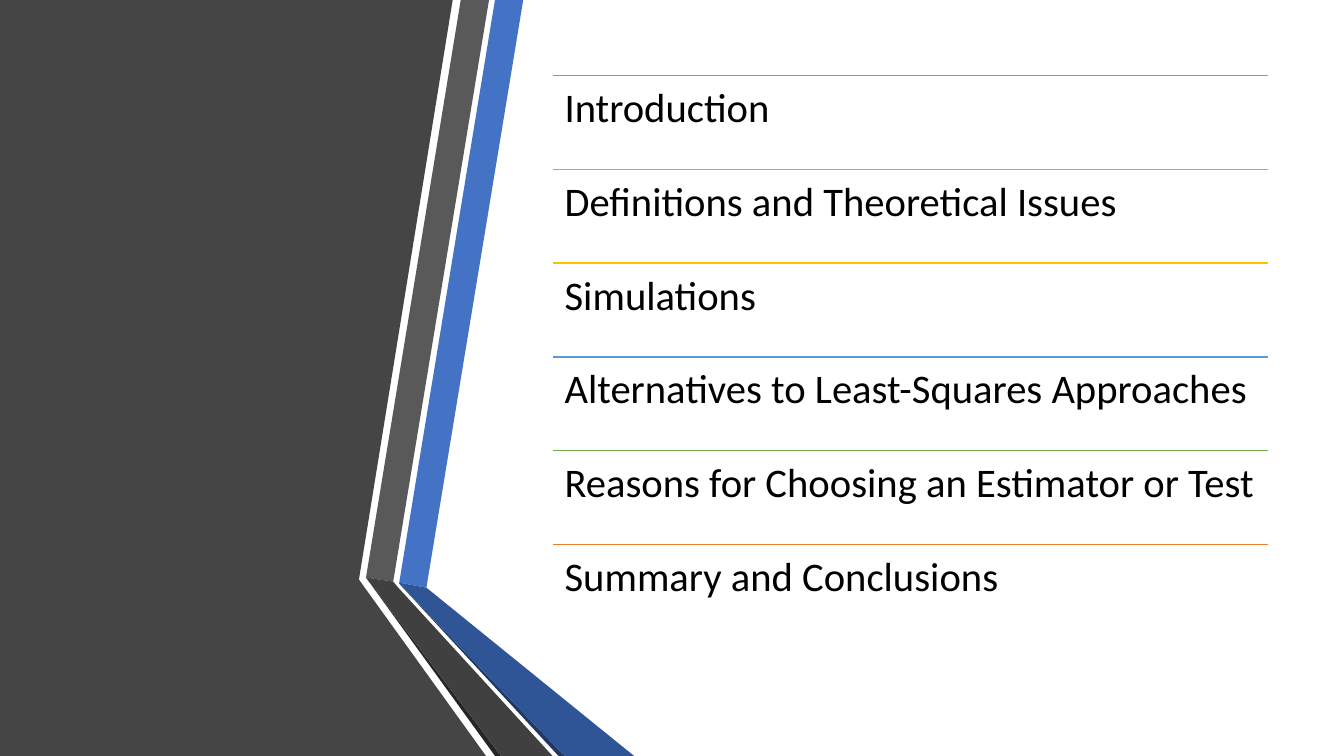
"""Build the outline slide: a folded ribbon on the left, six ruled topics on the right."""
from pptx import Presentation
from pptx.dml.color import RGBColor as RGB
from pptx.enum.shapes import MSO_CONNECTOR as LINE
from pptx.enum.text import MSO_ANCHOR as ANCHOR
from pptx.oxml.ns import qn
from pptx.util import Pt
from lxml.etree import SubElement as sub

PX = 9144


def paint(fmt, color):
    fmt.solid()
    fmt.fore_color.rgb = RGB.from_string(color)


deck = Presentation()
deck.slide_width, deck.slide_height = 1333 * PX, 750 * PX
slide = deck.slides.add_slide(deck.slide_layouts[6])
shapes = slide.shapes
paint(slide.background.fill, "FFFFFF")

bands = [
    ("454545", [(0, 0), (449, 0), (356, 575), (482, 750), (0, 750)]),
    ("4472C4", [(396, 578), (423, 583), (519, 0), (491, 0)]),
    ("595959", [(485, 0), (457, 0), (363, 573), (390, 577)]),
    ("262626", [(363, 573), (491, 750), (497, 750)]),
    ("203864", [(396, 579), (554, 750), (560, 750)]),
    ("2F5597", [(396, 578), (396, 579), (560, 750), (629, 750), (423, 583)]),
    ("404040", [(363, 573), (497, 750), (548, 750), (395, 583), (390, 577)]),
]
for color, points in bands:
    pen = shapes.build_freeform(*points[0], scale=PX)
    pen.add_line_segments(points[1:], close=True)
    band = pen.convert_to_shape()
    band.shadow.inherit = False
    paint(band.fill, color)
    band.line.fill.background()

topics = [
    ("Introduction", "ED7D31"),
    ("Definitions and Theoretical Issues", "A5A5A5"),
    ("Simulations", "FFC000"),
    ("Alternatives to Least-Squares Approaches", "5B9BD5"),
    ("Reasons for Choosing an Estimator or Test", "70AD47"),
    ("Summary and Conclusions", "ED7D31"),
]
left, top, width, pitch, inset = 548, 75, 710, 93, 12 * PX
frame_style = {
    "word_wrap": True, "vertical_anchor": ANCHOR.TOP,
    "margin_left": inset, "margin_top": inset,
    "margin_right": inset, "margin_bottom": inset,
}
font_style = {"name": "Calibri", "size": Pt(29)}

for row, (topic, color) in enumerate(topics):
    y = (top + row * pitch) * PX
    rule = shapes.add_connector(LINE.STRAIGHT, left * PX, y, (left + width) * PX, y)
    paint(rule.line.fill, color)
    rule.line.width = Pt(1)
    sub(rule._element.spPr, qn("a:effectLst"))

    frame = shapes.add_textbox(left * PX, y, width * PX, pitch * PX).text_frame
    para = frame.paragraphs[0]
    para.line_spacing = 0.9
    run = para.add_run()
    run.text = topic
    paint(run.font.fill, "000000")
    for item, style in ((frame, frame_style), (run.font, font_style)):
        for key, value in style.items():
            setattr(item, key, value)

deck.save("out.pptx")
